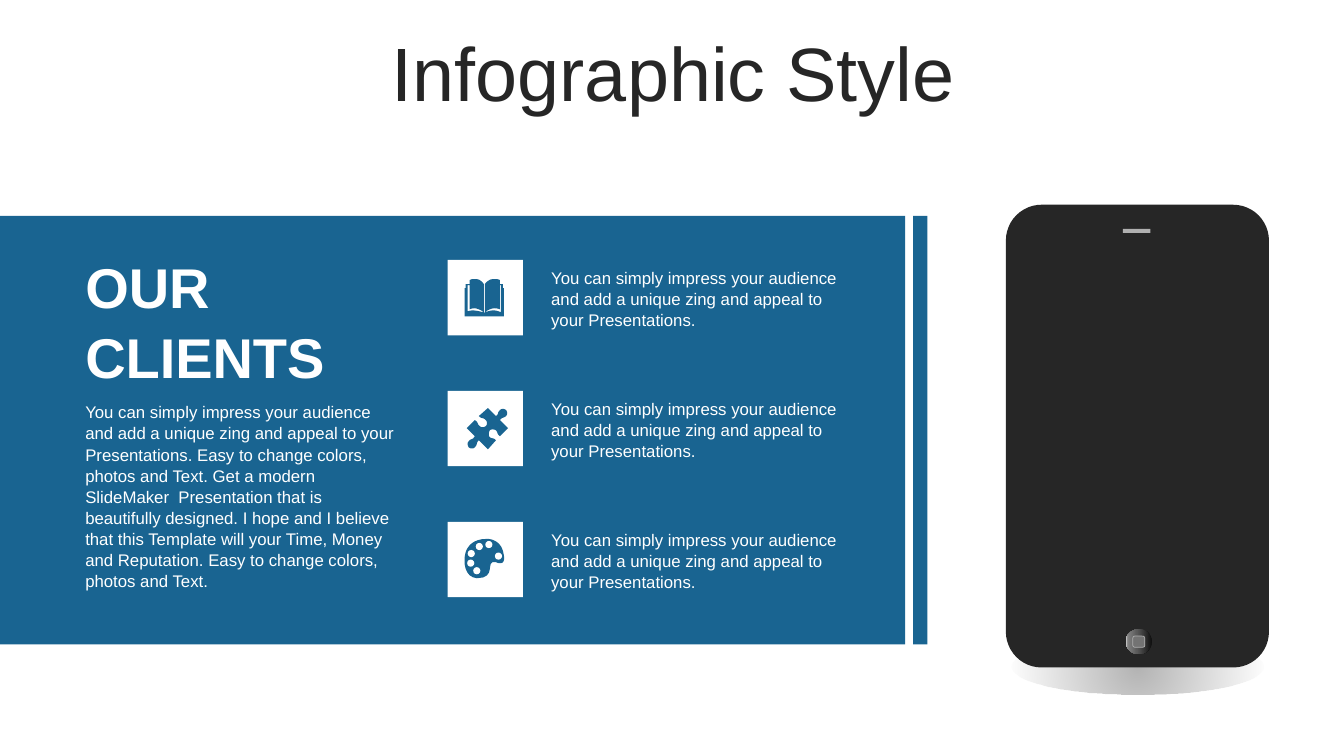
from dataclasses import dataclass
from lxml.etree import SubElement
from pptx import Presentation
from pptx.dml.color import RGBColor
from pptx.enum.shapes import MSO_SHAPE
from pptx.enum.text import MSO_ANCHOR, PP_ALIGN
from pptx.oxml.ns import qn
from pptx.util import Cm, Pt


@dataclass(frozen=True)
class Theme:
    font: str = "Arial"
    blue: str = "196491"
    white: str = "FFFFFF"
    dark: str = "262626"
    silver: str = "B0B0B0"
    button: str = "737373"
    shade: str = "808080"
    button_edge: str = "0F0F0F"
    button_middle: str = "595959"
    button_light: str = "BFBFBF"
    title_size: int = 54
    heading_size: int = 40
    body_size: int = 12


ICON_UNIT = 0.0254
CURVE_STEPS = 8
BOOK = [
    (36, 52), (36, 52, 37, 53, 37, 52), (43, 50, 47, 49, 53, 52),
    (53, 25), (52, 25), (52, 49), (47, 47, 42, 48, 37, 52), (37, 24),
    (40, 20, 43, 19, 46, 19), (48, 19, 50, 19, 52, 20), (52, 24),
    (55, 24), (55, 28), (56, 28), (56, 56), (17, 56), (17, 28), (18, 28),
    (18, 24), (22, 24), (22, 20), (24, 19, 25, 19, 27, 19),
    (31, 19, 33, 20, 36, 24), (36, 52), (31, 48, 26, 47, 22, 49),
    (22, 25), (20, 25), (20, 51), (26, 49, 30, 51, 36, 52),
]
PUZZLE = [
    (58, 19), (59, 20, 60, 23, 58, 25), (56, 27, 54, 26, 52, 29),
    (60, 37), (52, 45), (49, 43, 50, 41, 48, 39), (46, 38, 43, 38, 42, 39),
    (41, 41, 40, 44, 42, 46), (45, 48, 45, 46, 48, 49), (40, 58), (31, 49),
    (28, 52, 30, 53, 27, 56), (25, 58, 22, 57, 21, 56),
    (20, 54, 19, 52, 21, 50), (23, 47, 25, 49, 27, 45), (19, 37), (27, 29),
    (31, 31, 29, 33, 32, 35), (34, 37, 36, 36, 38, 35),
    (39, 34, 40, 31, 38, 29), (35, 26, 34, 28, 31, 25), (40, 17), (48, 25),
    (51, 23, 49, 22, 52, 19), (54, 17, 57, 18, 58, 19),
]
PALETTE = [
    (38, 17), (39, 17, 40, 17, 41, 17), (48, 18, 53, 22, 55, 29),
    (59, 43, 52, 42, 48, 40), (36, 38, 50, 56, 29, 56),
    (17, 55, 15, 40, 18, 30), (20, 24, 26, 17, 38, 17),
]
PAINT_WELLS = [(29, 48.5), (23, 41), (50.5, 34), (23.5, 31.5), (31.5, 24.5), (41, 22.5)]
WELL_SIZE = 0.18

CLIENT_NOTE = ("You can simply impress your audience and add a unique zing "
               "and appeal to your Presentations.")
CLIENT_STORY = (CLIENT_NOTE + " Easy to change colors, photos and Text. Get a modern "
                "SlideMaker  Presentation that is beautifully designed. I hope and I "
                "believe that this Template will your Time, Money and Reputation. "
                "Easy to change colors, photos and Text.")


def flatten(outline):
    points = [outline[0]]
    for segment in outline[1:]:
        if len(segment) == 2:
            points.append(segment)
            continue
        controls = [points[-1], segment[:2], segment[2:4], segment[4:]]
        for step in range(1, CURVE_STEPS + 1):
            t = step / CURVE_STEPS
            weights = ((1 - t) ** 3, 3 * t * (1 - t) ** 2, 3 * t * t * (1 - t), t ** 3)
            points.append(tuple(sum(weight * point[axis] for weight, point
                                    in zip(weights, controls)) for axis in (0, 1)))
    return points


class SlideBuilder:
    def __init__(self, slide, theme):
        self.slide = slide
        self.theme = theme

    def paint(self, shape, color, line=None, width=0.5):
        shape.shadow.inherit = False
        shape.fill.solid()
        shape.fill.fore_color.rgb = RGBColor.from_string(color)
        if line:
            shape.line.color.rgb = RGBColor.from_string(line)
            shape.line.width = Pt(width)
        else:
            shape.line.fill.background()
        return shape

    def shape(self, kind, left, top, width, height, color, line=None, corner=None):
        shape = self.slide.shapes.add_shape(kind, Cm(left), Cm(top), Cm(width), Cm(height))
        if corner is not None:
            shape.adjustments[0] = corner
        return self.paint(shape, color, line)

    def gradient(self, shape, stops, radial=False):
        shape.fill.gradient()
        fill = shape.element.spPr.find(qn("a:gradFill"))
        for child in list(fill):
            fill.remove(child)
        stop_list = SubElement(fill, qn("a:gsLst"))
        for position, color, opacity in stops:
            stop = SubElement(stop_list, qn("a:gs"), pos=str(position * 1000))
            tone = SubElement(stop, qn("a:srgbClr"), val=color)
            if opacity < 100:
                SubElement(tone, qn("a:alpha"), val=str(opacity * 1000))
        if radial:
            direction = SubElement(fill, qn("a:path"))
            direction.set("path", "circle")
            SubElement(direction, qn("a:fillToRect"), l="50000", t="50000",
                       r="50000", b="50000")
        else:
            SubElement(fill, qn("a:lin"), ang="10800000", scaled="0")

    def outline(self, outline, left, top):
        points = [(x * 10, y * 10) for x, y in flatten(outline)]
        builder = self.slide.shapes.build_freeform(*points[0], scale=Cm(ICON_UNIT / 10))
        builder.add_line_segments(points[1:], close=True)
        self.paint(builder.convert_to_shape(Cm(left), Cm(top)), self.theme.blue)

    def fill_text(self, frame, lines, size, color, bold=False, spacing=1.05,
                  alignment=PP_ALIGN.LEFT):
        frame.word_wrap = True
        frame.text = "\n".join(lines)
        for paragraph in frame.paragraphs:
            paragraph.alignment = alignment
            paragraph.line_spacing = spacing
            paragraph.font.name = self.theme.font
            paragraph.font.size = Pt(size)
            paragraph.font.bold = bold
            paragraph.font.color.rgb = RGBColor.from_string(color)

    def title(self, text, left, top, width, height):
        title = self.slide.shapes.title
        title.left, title.top, title.width, title.height = map(Cm, (left, top, width, height))
        title.text_frame.vertical_anchor = MSO_ANCHOR.MIDDLE
        self.fill_text(title.text_frame, [text], self.theme.title_size, self.theme.dark,
                       spacing=0.9, alignment=PP_ALIGN.CENTER)

    def text(self, lines, left, top, width, height, size, bold=False, inset=0.25):
        box = self.slide.shapes.add_textbox(Cm(left), Cm(top), Cm(width), Cm(height))
        box.text_frame.margin_left = Cm(inset)
        self.fill_text(box.text_frame, lines, size, self.theme.white, bold)

    def phone(self):
        theme = self.theme
        shadow = self.shape(MSO_SHAPE.OVAL, 25.5, 16.1, 6.35, 1.4, theme.shade)
        self.gradient(shadow, [(0, theme.shade, 60), (100, theme.shade, 0)], radial=True)
        self.shape(MSO_SHAPE.ROUNDED_RECTANGLE, 25.35, 5.16, 6.63, 11.66, theme.dark,
                   corner=0.136)
        self.shape(MSO_SHAPE.RECTANGLE, 28.3, 5.77, 0.69, 0.1, theme.silver)
        home = self.shape(MSO_SHAPE.OVAL, 28.37, 15.85, 0.66, 0.64, theme.dark)
        self.gradient(home, [(0, theme.button_edge, 100), (56, theme.button_middle, 100),
                             (91, theme.shade, 100), (100, theme.button_light, 100)])
        self.shape(MSO_SHAPE.ROUNDED_RECTANGLE, 28.55, 16.03, 0.3, 0.28, theme.button,
                   line=theme.silver)


def main():
    presentation = Presentation()
    presentation.slide_width, presentation.slide_height = Cm(33.87), Cm(19.05)
    slide = presentation.slides.add_slide(presentation.slide_layouts[5])
    theme = Theme()
    builder = SlideBuilder(slide, theme)

    builder.title("Infographic Style", 0.89, 0.94, 32.16, 2.01)
    builder.phone()
    for left, width in ((0, 22.81), (23.01, 0.36)):
        builder.shape(MSO_SHAPE.RECTANGLE, left, 5.44, width, 10.8, theme.blue)
    builder.text(["OUR", "CLIENTS"], 1.9, 6.15, 8.71, 3.68, theme.heading_size, bold=True)
    builder.text([CLIENT_STORY], 1.9, 9.98, 8.31, 4.88, theme.body_size)

    tile_left = 11.28
    for row, icon in enumerate((BOOK, PUZZLE, PALETTE)):
        tile_top = 6.55 + 3.3 * row
        builder.shape(MSO_SHAPE.RECTANGLE, tile_left, tile_top, 1.9, 1.9, theme.white)
        builder.outline(icon, tile_left, tile_top)
        builder.text([CLIENT_NOTE], 13.59, tile_top + 0.05, 8.05, 1.8,
                     theme.body_size, inset=0.3)
    for x, y in PAINT_WELLS:
        builder.shape(MSO_SHAPE.OVAL, tile_left + x * ICON_UNIT - WELL_SIZE / 2,
                      tile_top + y * ICON_UNIT - WELL_SIZE / 2,
                      WELL_SIZE, WELL_SIZE, theme.white)

    presentation.save("out.pptx")


if __name__ == "__main__":
    main()
